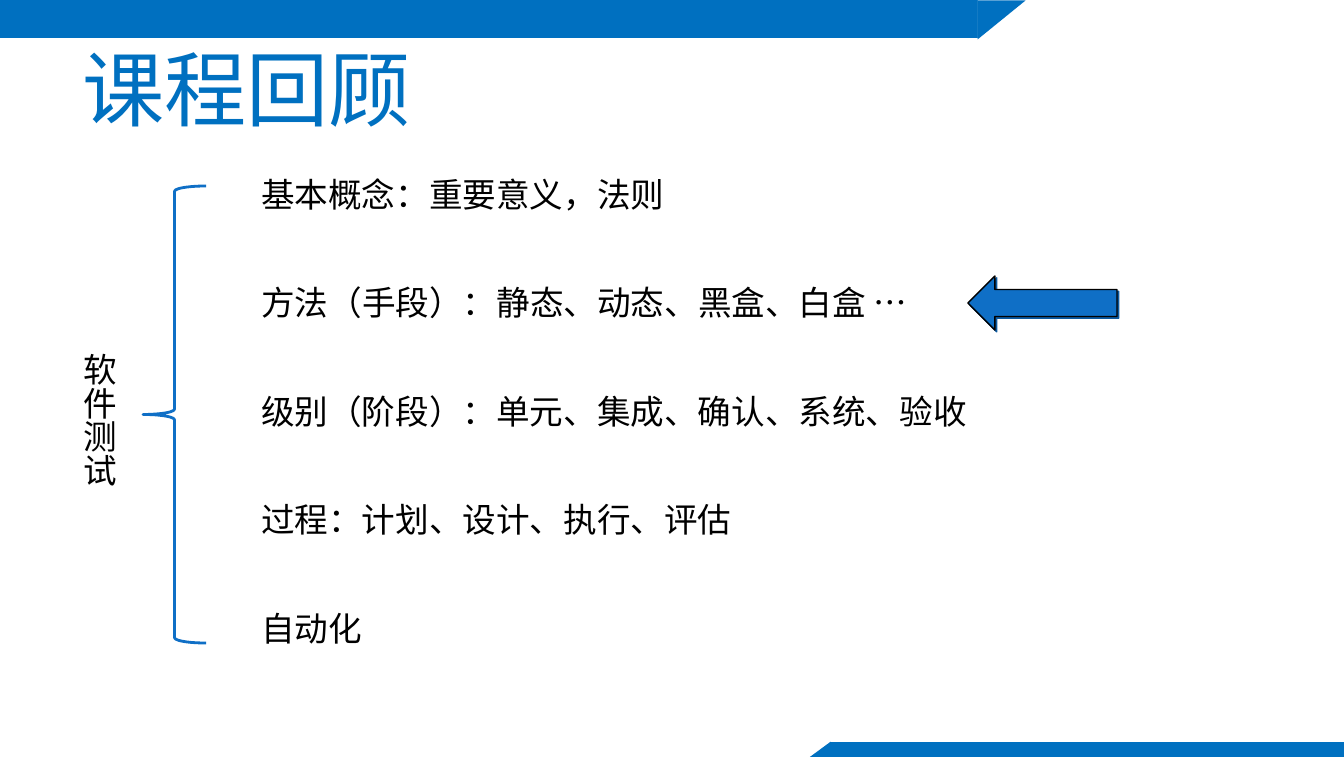
from lxml import etree
from pptx import Presentation
from pptx.dml.color import RGBColor
from pptx.enum.shapes import MSO_SHAPE
from pptx.enum.text import MSO_ANCHOR, MSO_AUTO_SIZE, PP_ALIGN
from pptx.oxml.ns import qn
from pptx.util import Emu, Pt

RECTANGLE = MSO_SHAPE.RECTANGLE
RIGHT_TRIANGLE = MSO_SHAPE.RIGHT_TRIANGLE
LEFT_BRACE = MSO_SHAPE.LEFT_BRACE
LEFT_ARROW = MSO_SHAPE.LEFT_ARROW
MIDDLE = MSO_ANCHOR.MIDDLE
FIT_SHAPE = MSO_AUTO_SIZE.SHAPE_TO_FIT_TEXT
ALIGN_LEFT = PP_ALIGN.LEFT

SCALE = 914400 / 134.4  # EMU per px
WIDTH, HEIGHT = 1344, 757
TITLE_ONLY = 5
COLORS = {
    "band": "0070C0",
    "accent": "0F6FC6",
    "shadow": "0C599F",
    "text": "000000",
    "paper": "FFFFFF",
}
TITLE_FONT, BODY_FONT = "Montserrat", "Times New Roman"

TOPICS = [
    ("基本概念：重要意义，法则", 434),
    ("方法（手段）：静态、动态、黑盒、白盒 …", 680),
    ("级别（阶段）：单元、集成、确认、系统、验收", 739),
    ("过程：计划、设计、执行、评估", 503),
    ("自动化", 129),
]
TOPIC_LEFT, TOPIC_HEIGHT = 248, 54
FIRST_TOP, LAST_TOP = 167, 601


def px(length):
    return Emu(round(length * SCALE))


def color(name):
    return RGBColor.from_string(COLORS[name])


class SlideBuilder:
    """Holds the style and the current slide."""

    def __init__(self, page):
        self.page = page

    def style_text(self, frame, font, size, fill):
        for para in frame.paragraphs:
            para.alignment = ALIGN_LEFT
            for span in para.runs:
                span.font.name = font
                span.font.size = Pt(size)
                span.font.color.rgb = color(fill)

    def title(self, text, left, top, width, height):
        box = self.page.shapes.title
        box.left, box.top, box.width, box.height = map(px, (left, top, width, height))
        box.text_frame.text = text
        box.text_frame.vertical_anchor = MIDDLE
        self.style_text(box.text_frame, TITLE_FONT, 44, "band")

    def label(self, text, left, top, width, height, vertical=False):
        box = self.page.shapes.add_textbox(*map(px, (left, top, width, height)))
        frame = box.text_frame
        frame.text = text
        frame.word_wrap = False
        frame.auto_size = FIT_SHAPE
        if vertical:
            box.element.txBody.find(qn("a:bodyPr")).set("vert", "eaVert")
        self.style_text(frame, BODY_FONT, 18, "text")

    def shape(self, kind, left, top, width, height, fill=None, line=None,
              weight=1, rotation=0):
        shape = self.page.shapes.add_shape(kind, *map(px, (left, top, width, height)))
        shape.shadow.inherit = False
        shape.rotation = rotation
        if fill:
            shape.fill.solid()
            shape.fill.fore_color.rgb = color(fill)
        else:
            shape.fill.background()
        if line:
            shape.line.color.rgb = color(line)
            shape.line.width = Pt(weight)
        else:
            shape.line.fill.background()
        return shape

    def drop_shadow(self, shape, distance, angle):
        """Add a hard shadow; distance is in points, angle in degrees."""
        effects = shape.element.spPr.find(qn("a:effectLst"))
        shadow = etree.SubElement(
            effects, qn("a:outerShdw"), blurRad="0", dist=str(Pt(distance)),
            dir=str(angle * 60000), algn="ctr", rotWithShape="0")
        etree.SubElement(shadow, qn("a:srgbClr"), val=COLORS["shadow"])


def main():
    deck = Presentation()
    deck.slide_width, deck.slide_height = px(WIDTH), px(HEIGHT)
    slide = SlideBuilder(deck.slides.add_slide(deck.slide_layouts[TITLE_ONLY]))

    slide.shape(RECTANGLE, 0, 0, WIDTH, 38, "band")
    slide.shape(RECTANGLE, 978, 0, WIDTH - 978, 51, "paper")
    slide.shape(RECTANGLE, 830, 742, WIDTH - 830, HEIGHT - 742, "band")
    slide.shape(RIGHT_TRIANGLE, 982, -4, 39, 48, "band", rotation=90)
    slide.shape(RIGHT_TRIANGLE, 812, 739, 16, 21, "band", rotation=271)
    slide.title("课程回顾", 69, 40, 1210, 95)

    slide.shape(LEFT_BRACE, 143, 186, 63, 457, line="accent", weight=1.5)
    slide.label("软件测试", 59, 340, 67, 149, vertical=True)
    pitch = (LAST_TOP - FIRST_TOP) / (len(TOPICS) - 1)
    for row, (topic, width) in enumerate(TOPICS):
        slide.label(topic, TOPIC_LEFT, FIRST_TOP + row * pitch, width, TOPIC_HEIGHT)

    arrow = slide.shape(LEFT_ARROW, 968, 276, 149, 54, "accent", "text", 0.75)
    slide.drop_shadow(arrow, 1.4, 45)

    deck.save("out.pptx")


if __name__ == "__main__":
    main()
